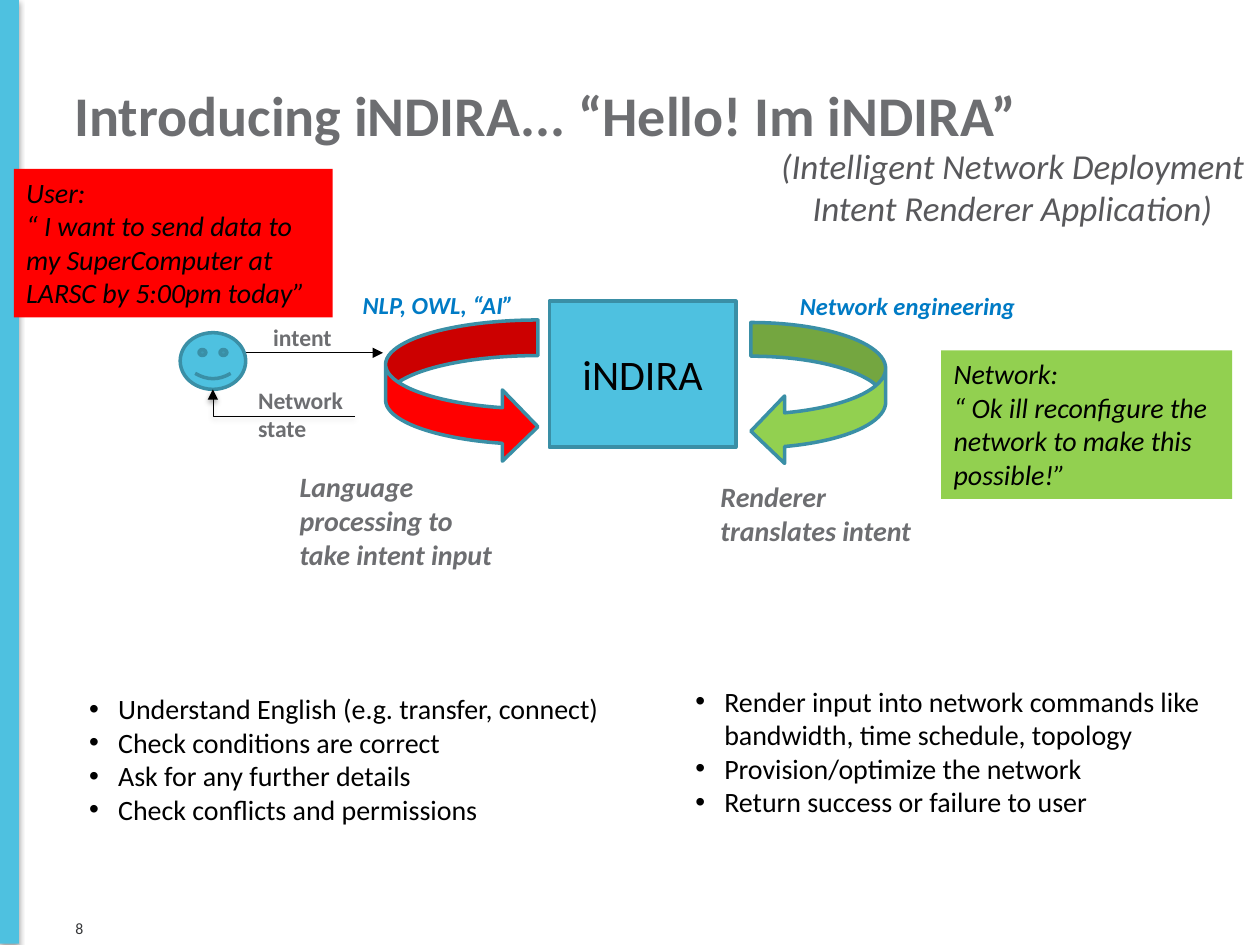
from dataclasses import dataclass

from lxml.etree import SubElement
from pptx import Presentation
from pptx.dml.color import RGBColor
from pptx.enum.shapes import MSO_CONNECTOR, MSO_SHAPE
from pptx.enum.text import MSO_ANCHOR, MSO_AUTO_SIZE, PP_ALIGN
from pptx.oxml.ns import qn
from pptx.util import Inches, Pt


@dataclass(frozen=True)
class Theme:
    font: str = "Calibri"
    black: str = "000000"
    grey: str = "6D6E71"
    dark_grey: str = "58585B"
    number_grey: str = "363739"
    sky: str = "4EC1E0"
    teal: str = "3A8FA6"
    blue: str = "007BC5"
    red: str = "FF0000"
    green: str = "92D050"
    title: float = 32
    box: float = 24
    subtitle: float = 20
    body: float = 16
    label: float = 14
    small: float = 13.5
    number: float = 9
    outline: float = 2


class SlideBuilder:
    def __init__(self, slide, theme):
        self.s = slide
        self.theme = theme

    def fill_text(self, sp, lines, size, color, bold=False, italic=False,
                  align=PP_ALIGN.LEFT, anchor=MSO_ANCHOR.TOP):
        tf = sp.text_frame
        tf.word_wrap = True
        tf.auto_size = MSO_AUTO_SIZE.NONE
        tf.vertical_anchor = anchor
        for i, line in enumerate(lines):
            p = tf.add_paragraph() if i else tf.paragraphs[0]
            p.alignment = align
            r = p.add_run()
            r.text = line
            r.font.name = self.theme.font
            r.font.size = Pt(size)
            r.font.bold = bold
            r.font.italic = italic
            r.font.color.rgb = RGBColor.from_string(color)
        return sp

    def title(self, box, text):
        sp = self.s.shapes.title
        sp.left, sp.top, sp.width, sp.height = map(Inches, box)
        self.fill_text(sp, [text], self.theme.title, self.theme.grey, bold=True,
                       anchor=MSO_ANCHOR.MIDDLE)

    def text(self, box, lines, size, color, **style):
        sp = self.s.shapes.add_textbox(*map(Inches, box))
        return self.fill_text(sp, lines, size, color, **style)

    def indent(self, p, hanging):
        """Hang the lines after the first by the given inches."""
        pPr = p._p.get_or_add_pPr()
        pPr.set("marL", str(Inches(hanging)))
        pPr.set("indent", str(-Inches(hanging)))
        return pPr

    def bullets(self, box, lines):
        sp = self.text(box, lines, self.theme.body, self.theme.black)
        for p in sp.text_frame.paragraphs:
            pPr = self.indent(p, 0.23)
            SubElement(pPr, qn("a:buFont"), typeface="Arial")
            SubElement(pPr, qn("a:buChar"), char="•")

    def shape(self, kind, box, fill, outlined=True):
        sp = self.s.shapes.add_shape(kind, *map(Inches, box))
        sp.shadow.inherit = False
        sp.fill.solid()
        sp.fill.fore_color.rgb = RGBColor.from_string(fill)
        if outlined:
            sp.line.color.rgb = RGBColor.from_string(self.theme.teal)
            sp.line.width = Pt(self.theme.outline)
        else:
            sp.line.fill.background()
        return sp

    def callout(self, box, fill, lines):
        sp = self.shape(MSO_SHAPE.RECTANGLE, box, fill, outlined=False)
        self.fill_text(sp, lines, self.theme.body, self.theme.black, italic=True)

    def arrow(self, kind, start, end, width):
        cx = self.s.shapes.add_connector(kind, *map(Inches, start + end))
        cx.line.color.rgb = RGBColor.from_string(self.theme.black)
        cx.line.width = Pt(width)
        spPr = cx._element.spPr
        SubElement(spPr.find(qn("a:ln")), qn("a:tailEnd"), type="triangle")
        SubElement(spPr, qn("a:effectLst"))
        return cx

    def soft_shadow(self, sp, opacity, distance):
        """Add a blurred shadow that falls straight down."""
        effects = sp._element.spPr.find(qn("a:effectLst"))
        shadow = SubElement(effects, qn("a:outerShdw"), blurRad=str(Pt(3.1)),
                            dist=str(Pt(distance)), dir="5400000", rotWithShape="0")
        color = SubElement(shadow, qn("a:srgbClr"), val=self.theme.black)
        SubElement(color, qn("a:alpha"), val=str(opacity * 1000))


def main():
    prs = Presentation()
    prs.slide_width, prs.slide_height = Inches(10), Inches(7.5)
    t = Theme()
    b = SlideBuilder(prs.slides.add_slide(prs.slide_layouts[5]), t)

    side_bar = b.shape(MSO_SHAPE.RECTANGLE, (0, 0, 0.15, 7.49), t.sky, outlined=False)
    b.soft_shadow(side_bar, 35, 1.8)
    b.title((0.49, 0.36, 8.62, 1.09), "Introducing iNDIRA... “Hello! Im iNDIRA”")

    b.shape(MSO_SHAPE.CURVED_RIGHT_ARROW, (3.06, 2.54, 1.21, 1.13), t.red)
    network_loop = b.shape(MSO_SHAPE.CURVED_RIGHT_ARROW, (5.96, 2.56, 1.07, 1.13), t.green)
    network_loop._element.spPr.find(qn("a:xfrm")).set("flipH", "1")

    b.arrow(MSO_CONNECTOR.STRAIGHT, (1.92, 2.8), (3.04, 2.8), 0.75)
    b.bullets((5.42, 5.38, 4.68, 1.18), [
        "Render input into network commands like bandwidth, time schedule, topology",
        "Provision/optimize the network",
        "Return success or failure to user",
    ])
    b.bullets((0.61, 5.44, 4.47, 1.45), [
        "Understand English (e.g. transfer, connect)",
        "Check conditions are correct",
        "Ask for any further details",
        "Check conflicts and permissions",
    ])

    b.shape(MSO_SHAPE.SMILEY_FACE, (1.43, 2.64, 0.52, 0.45), t.sky)
    for box, label, size, color, italic in [
        ((2.28, 3.68, 1.83, 0.91), "Language processing to take intent input",
         t.body, t.grey, True),
        ((5.62, 3.76, 1.96, 0.64), "Renderer translates intent", t.body, t.grey, True),
        ((2.78, 2.25, 2.37, 0.34), "NLP, OWL, “AI”", t.label, t.blue, True),
        ((6.25, 2.26, 2.44, 0.34), "Network engineering", t.label, t.blue, True),
        ((2.07, 2.51, 0.82, 0.33), "intent", t.small, t.grey, False),
        ((1.95, 3.01, 0.9, 0.56), "Network state", t.small, t.grey, False),
    ]:
        b.text(box, [label], size, color, bold=True, italic=italic)

    state_arrow = b.arrow(MSO_CONNECTOR.ELBOW, (2.82, 3.3), (1.69, 3.09), 0.25)
    state_arrow._element.spPr.find(qn("a:prstGeom")).set("prst", "bentConnector2")
    b.soft_shadow(state_arrow, 38, 1.6)

    core = b.shape(MSO_SHAPE.RECTANGLE, (4.36, 2.39, 1.48, 1.16), t.sky)
    b.fill_text(core, ["iNDIRA"], t.box, t.black, align=PP_ALIGN.CENTER,
                anchor=MSO_ANCHOR.MIDDLE)

    subtitle = b.text((6.1, 1.1, 4.15, 0.77),
                      ["(Intelligent Network Deployment Intent Renderer Application)"],
                      t.subtitle, t.dark_grey, italic=True)
    p = subtitle.text_frame.paragraphs[0]
    p.space_before = Pt(8.8)
    b.indent(p, 0.25)

    b.callout((0.11, 1.34, 2.53, 1.18), t.red, [
        "User:", "“ I want to send data to my SuperComputer at LARSC by 5:00pm today”"])
    b.callout((7.47, 2.78, 2.31, 1.18), t.green, [
        "Network:", "“ Ok ill reconfigure the network to make this possible!”"])
    b.text((0.5, 7.24, 0.34, 0.25), ["8"], t.number, t.number_grey,
           anchor=MSO_ANCHOR.MIDDLE)

    prs.save("out.pptx")


if __name__ == "__main__":
    main()
